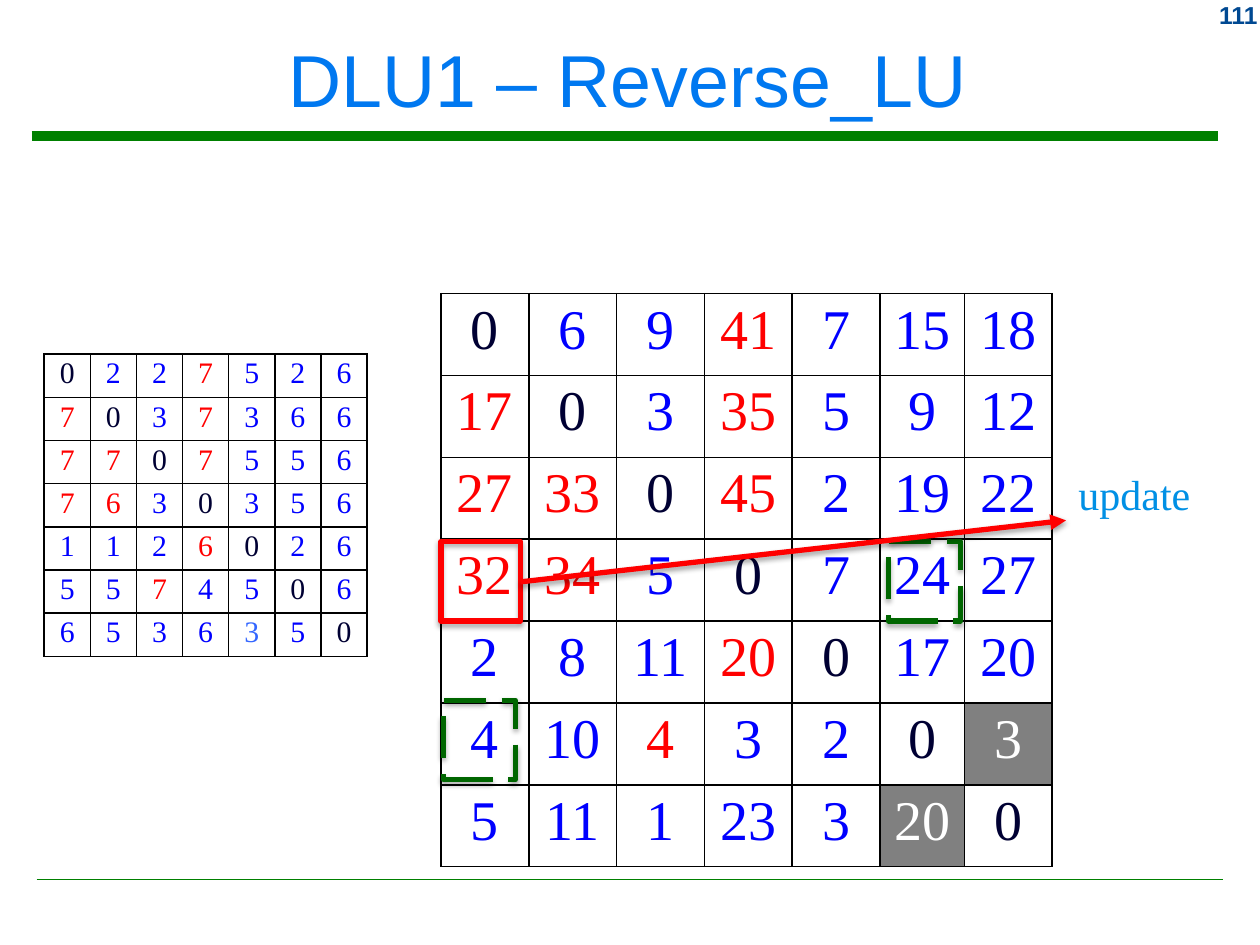
"""Build the Reverse_LU slide with its two matrices and the update marks."""
from pptx import Presentation
from pptx.dml.color import RGBColor
from pptx.enum.dml import MSO_LINE
from pptx.enum.shapes import MSO_CONNECTOR, MSO_SHAPE
from pptx.enum.text import MSO_ANCHOR, PP_ALIGN
from pptx.oxml import parse_xml
from pptx.oxml.ns import nsdecls
from pptx.util import Cm, Pt

WHITE = RGBColor(0xFF, 0xFF, 0xFF)
BLACK = RGBColor(0x00, 0x00, 0x00)
GRAY = RGBColor(0x80, 0x80, 0x80)
NAVY = RGBColor(0x00, 0x00, 0x33)
BLUE = RGBColor(0x00, 0x00, 0xFF)
LIGHT = RGBColor(0x33, 0x66, 0xFF)
RED = RGBColor(0xFF, 0x00, 0x00)
GREEN = RGBColor(0x00, 0x80, 0x00)
DARK = RGBColor(0x00, 0x66, 0x00)
SKY = RGBColor(0x00, 0x90, 0xE5)
TITLE = RGBColor(0x00, 0x78, 0xF0)
PAGE = RGBColor(0x00, 0x49, 0x92)
SANS, SERIF = "Arial", "Times New Roman"

COSTS = [
    (0, 6, 9, 41, 7, 15, 18),
    (17, 0, 3, 35, 5, 9, 12),
    (27, 33, 0, 45, 2, 19, 22),
    (32, 34, 5, 0, 7, 24, 27),
    (2, 8, 11, 20, 0, 17, 20),
    (4, 10, 4, 3, 2, 0, 3),
    (5, 11, 1, 23, 3, 20, 0),
]
HOPS = [
    (0, 2, 2, 7, 5, 2, 6),
    (7, 0, 3, 7, 3, 6, 6),
    (7, 7, 0, 7, 5, 5, 6),
    (7, 6, 3, 0, 3, 5, 6),
    (1, 1, 2, 6, 0, 2, 6),
    (5, 5, 7, 4, 5, 0, 6),
    (6, 5, 3, 6, 3, 5, 0),
]
RED_CELLS = {(0, 3), (1, 0), (1, 3), (2, 0), (2, 1), (2, 3),
             (3, 0), (3, 1), (4, 3), (5, 2)}
GRAY_CELLS = {(5, 6), (6, 5)}
LIGHT_CELLS = {(6, 4)}

RULES = [(0.64, 24.56, 2.74, 5.25), (0.74, 24.66, 17.73, 1)]
FRAMES = [
    (8.89, 10.92, 1.6, RED, MSO_LINE.SOLID),
    (8.94, 14.12, 1.45, DARK, MSO_LINE.LONG_DASH),
    (17.91, 10.92, 1.45, DARK, MSO_LINE.LONG_DASH),
]


def style(para, size, color, face, align, bold=False):
    para.alignment = align
    for run in para.runs:
        font = run.font
        font.size, font.name, font.bold = Pt(size), face, bold
        font.color.rgb = color


def shade(shape, alpha=0, dist=0):
    inner = ""
    if alpha:
        inner = (f'<a:outerShdw blurRad="{Pt(3.1)}" dist="{Pt(dist)}" dir="5400000" '
                 f'rotWithShape="0"><a:srgbClr val="{BLACK}">'
                 f'<a:alpha val="{alpha * 1000}"/></a:srgbClr></a:outerShdw>')
    shape._element.spPr.append(
        parse_xml(f'<a:effectLst {nsdecls("a")}>{inner}</a:effectLst>'))


def add_line(shapes, start, end, color, width):
    line = shapes.add_connector(MSO_CONNECTOR.STRAIGHT,
                                *(Cm(v) for v in start + end))
    line.line.color.rgb, line.line.width = color, Pt(width)
    return line


def add_label(shapes, text, box, size, color, face, align, bold=False):
    label = shapes.add_textbox(*(Cm(v) for v in box))
    label.text_frame.text = text
    style(label.text_frame.paragraphs[0], size, color, face, align, bold)
    return label


def border(cell):
    props = cell._tc.get_or_add_tcPr()
    for side in "LRTB":
        props.append(parse_xml(
            f'<a:ln{side} {nsdecls("a")} w="{Pt(1)}"><a:solidFill>'
            f'<a:srgbClr val="{BLACK}"/></a:solidFill></a:ln{side}>'))


def add_grid(shapes, data, left, top, widths, height, size, pad, hues):
    count = len(data)
    table = shapes.add_table(count, len(widths), Cm(left), Cm(top),
                             Cm(sum(widths)), Cm(height * count)).table
    table.first_row = table.horz_banding = False
    for col, width in zip(table.columns, widths):
        col.width = Cm(width)
    for r, values in enumerate(data):
        table.rows[r].height = Cm(height)
        for c, value in enumerate(values):
            cell = table.cell(r, c)
            cell.margin_left = cell.margin_right = Cm(pad)
            cell.margin_top = cell.margin_bottom = Cm(pad / 2)
            ink, fill = hues.get((r, c), (BLUE, WHITE))
            border(cell)
            cell.fill.solid()
            cell.fill.fore_color.rgb = fill
            cell.text_frame.text = str(value)
            style(cell.text_frame.paragraphs[0], size, ink, SERIF, PP_ALIGN.CENTER)


def add_frame(shapes, left, top, width, color, dash):
    frame = shapes.add_shape(MSO_SHAPE.RECTANGLE, Cm(left), Cm(top),
                             Cm(width), Cm(1.6))
    frame.fill.background()
    frame.line.color.rgb, frame.line.width = color, Pt(3)
    frame.line.dash_style = dash
    shade(frame, 35, 1.8)


def main():
    deck = Presentation()
    deck.slide_width, deck.slide_height = Cm(25.4), Cm(19.05)
    slide = deck.slides.add_slide(deck.slide_layouts[5])
    shapes = slide.shapes

    for left, right, y, width in RULES:
        shade(add_line(shapes, (left, y), (right, y), GREEN, width))
    add_label(shapes, "111", (23.29, -0.13, 2.31, 0.84), 14, PAGE, SANS,
              PP_ALIGN.RIGHT, True)

    title = shapes.title
    title.left, title.top, title.width, title.height = (
        Cm(v) for v in (0.2, 0.23, 24.89, 2.69))
    title.text_frame.text = "DLU1 – Reverse_LU"
    title.text_frame.vertical_anchor = MSO_ANCHOR.MIDDLE
    style(title.text_frame.paragraphs[0], 42, TITLE, SANS, PP_ALIGN.CENTER)

    base = {(i, i): (NAVY, WHITE) for i in range(len(COSTS))}
    base |= {spot: (RED, WHITE) for spot in RED_CELLS}
    grays = {spot: (WHITE, GRAY) for spot in GRAY_CELLS}
    lights = {spot: (LIGHT, WHITE) for spot in LIGHT_CELLS}
    add_grid(shapes, COSTS, 8.89, 5.92, [1.77] * 5 + [1.7, 1.77], 1.65, 32, 0.22,
             base | grays)
    for frame in FRAMES:
        add_frame(shapes, *frame)
    arrow = add_line(shapes, (10.49, 11.73), (21.49, 10.49), RED, 3)
    arrow.line._get_or_add_ln().append(
        parse_xml(f'<a:tailEnd {nsdecls("a")} type="triangle"/>'))
    shade(arrow, 38, 1.6)
    label = add_label(shapes, "update", (21.49, 9.32, 2.79, 1.2), 24, SKY, SERIF,
                      PP_ALIGN.LEFT)
    label.text_frame.word_wrap = False
    add_grid(shapes, HOPS, 0.89, 7.14, [0.93] * 7, 0.87, 17, 0.12, base | lights)
    deck.save("out.pptx")


if __name__ == "__main__":
    main()
